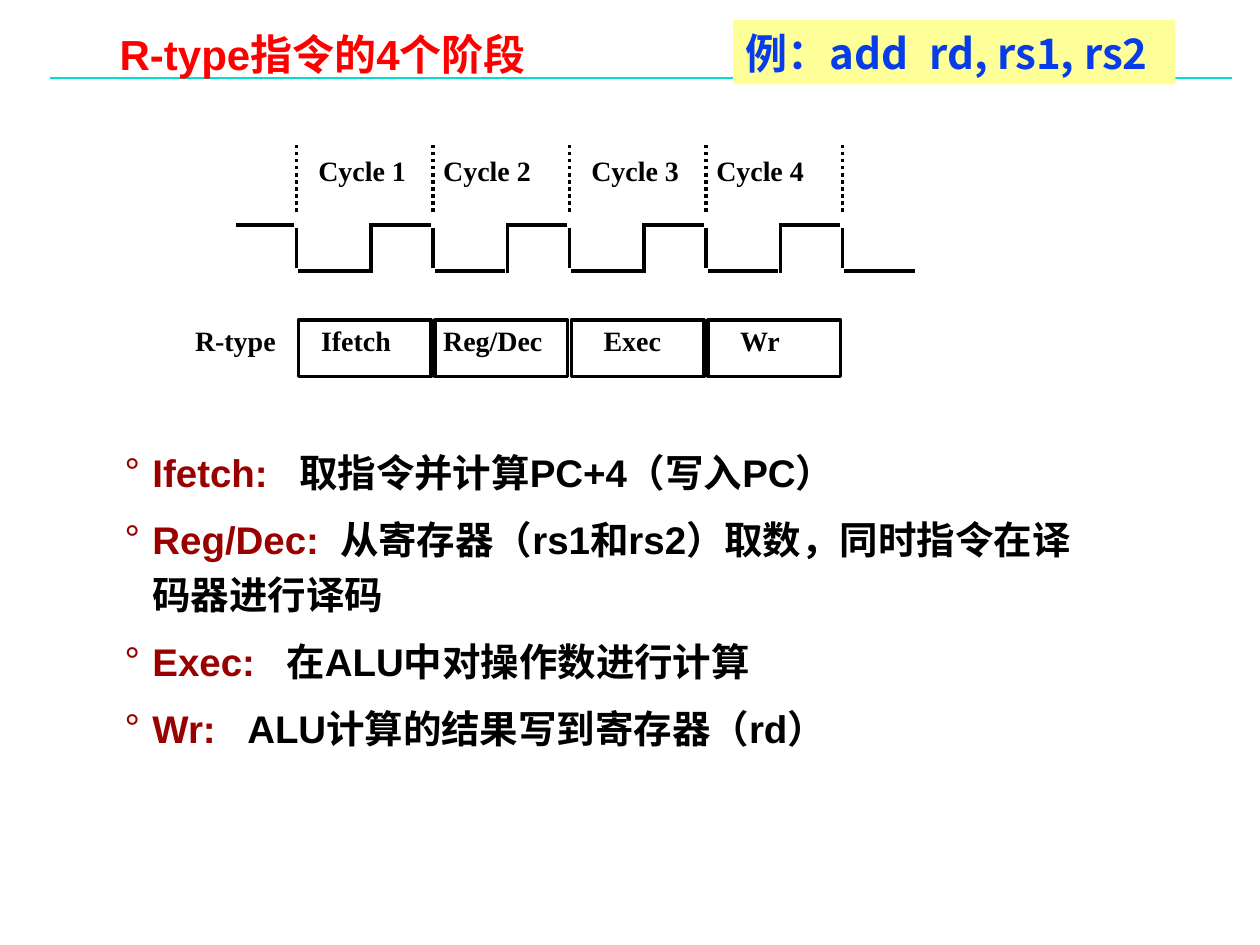
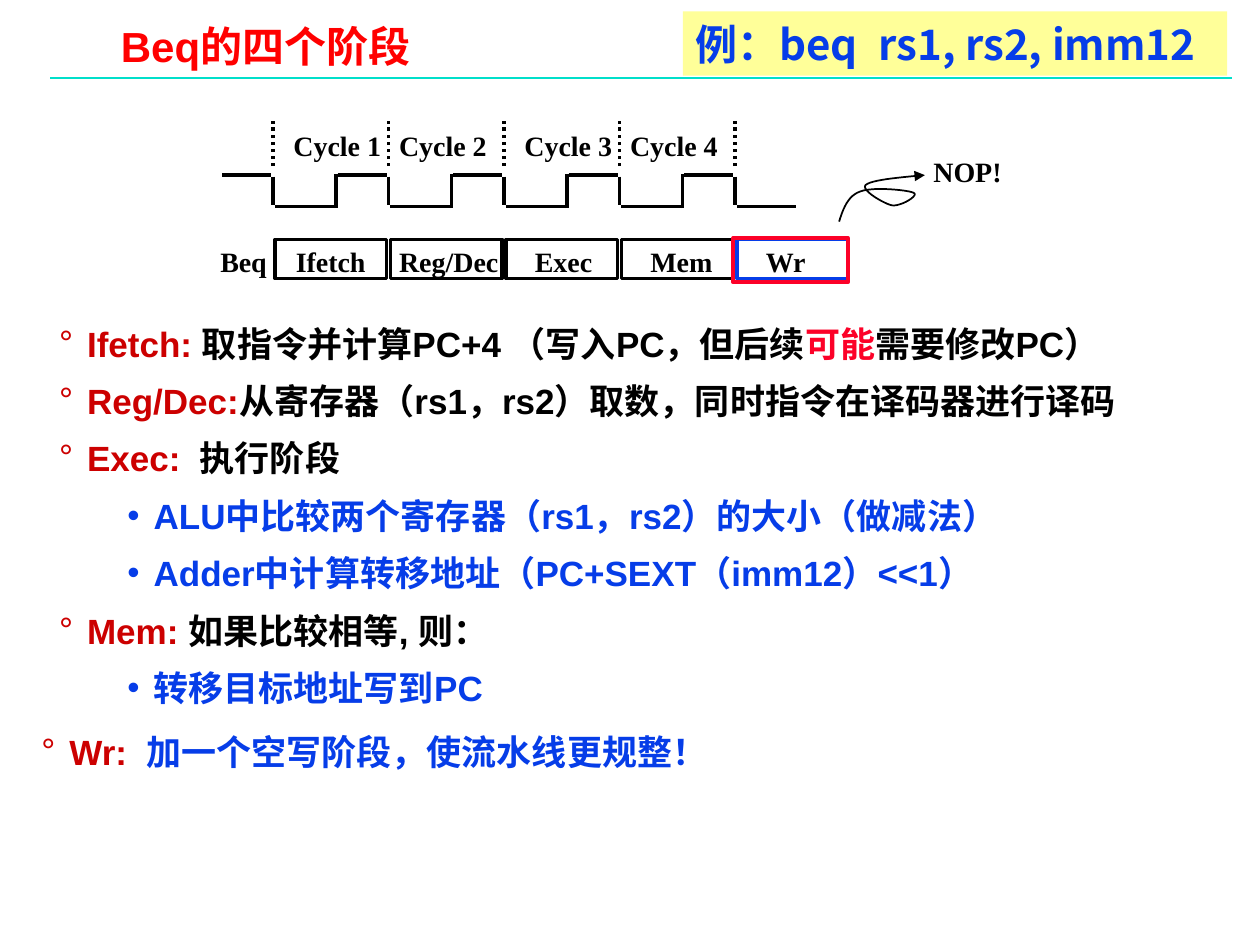
"""Build two slides on the clock cycles of the R-type and Beq instructions."""
from dataclasses import dataclass

from lxml import etree
from pptx import Presentation
from pptx.dml.color import RGBColor
from pptx.enum import dml, shapes, text
from pptx.oxml import ns
from pptx.util import Pt

BLACK = RGBColor(0x00, 0x00, 0x00)
RED = RGBColor(0xFF, 0x00, 0x00)
MAROON = RGBColor(0x99, 0x00, 0x00)
CRIMSON = RGBColor(0xCC, 0x00, 0x00)
SCARLET = RGBColor(0xFC, 0x01, 0x28)
BLUE = RGBColor(0x06, 0x3D, 0xE8)
TEAL = RGBColor(0x00, 0xDF, 0xCA)
YELLOW = RGBColor(0xFF, 0xFF, 0x99)

SANS, SERIF, CJK = "Arial", "Times New Roman", "Noto Sans CJK SC"
TIGHT, ROOMY = (5, 2.2), (7.2, 3.6)
SPACE_WIDTH = 0.27
BULLETS = {0: ("°", 16, -16), 1: ("•", 54, -15)}
CYCLE_SHIFTS = (0.07, -0.015, 0.07, -0.015)
STAGE_SHIFTS = (0.09, -0.015, 0.16, 0.16, 0.16)


@dataclass
class Timing:
    """Places of a clock diagram, in points."""
    left: float
    pitch: float
    dots_top: float
    dots_bottom: float
    high: float
    low: float
    overshoot: float
    cycle_top: float
    box_top: float
    box_height: float
    stage_top: float
    name_left: float


def add_child(parent, tag, **attributes):
    """Append a drawing element to a parent element."""
    return etree.SubElement(parent, ns.qn(tag), attributes)


def add_line(page, start, end, colour=BLACK, width=2, dotted=False):
    """Draw a straight line between two points."""
    line = page.shapes.add_connector(
        shapes.MSO_CONNECTOR.STRAIGHT, *(Pt(value) for value in (*start, *end)))
    line.line.color.rgb = colour
    line.line.width = Pt(width)
    if dotted:
        line.line.dash_style = dml.MSO_LINE.ROUND_DOT
    add_child(line._element.spPr, "a:effectLst")


def add_rect(page, place, fill=None, outline=None, width=2):
    """Draw a rectangle with an optional fill and outline."""
    box = page.shapes.add_shape(
        shapes.MSO_SHAPE.RECTANGLE, *(Pt(value) for value in place))
    box.shadow.inherit = False
    if fill is None:
        box.fill.background()
    else:
        box.fill.solid()
        box.fill.fore_color.rgb = fill
    if outline is None:
        box.line.fill.background()
    else:
        box.line.color.rgb = outline
        box.line.width = Pt(width)
    return box


def style_run(run, size, font, colour):
    """Give a run its bold font, size and colour."""
    run.font.name = font
    run.font.size = Pt(size)
    run.font.bold = True
    run.font.color.rgb = colour
    add_child(run.font._element, "a:ea", typeface=font)


def write_spans(para, spans, size, font):
    """Write (text, colour, gap) spans; a gap counts space widths."""
    for words, colour, gap in spans:
        span = para.add_run()
        span.text = words
        style_run(span, size, font, colour)
        if gap:
            space = para.add_run()
            space.text = " "
            style_run(space, size, font, colour)
            extra = round((gap - 1) * SPACE_WIDTH * size * 100)
            space.font._element.set("spc", str(extra))


def set_frame(frame, insets, wrap=True):
    """Set the insets and wrapping of a text frame."""
    frame.margin_left = frame.margin_right = Pt(insets[0])
    frame.margin_top = frame.margin_bottom = Pt(insets[1])
    frame.word_wrap = wrap


def add_text(page, place, insets=ROOMY):
    """Add an empty text box and return its frame."""
    box = page.shapes.add_textbox(*(Pt(value) for value in place))
    set_frame(box.text_frame, insets)
    return box.text_frame


def add_label(page, left, top, words):
    """Add a short diagram label."""
    frame = add_text(page, (left, top, 80, 26))
    frame.text = words
    style_run(frame.paragraphs[0].runs[0], 16, SERIF, BLACK)


def add_heading(page, title, title_place, example, example_place):
    """Add the rule, the title and the yellow example box."""
    add_line(page, (28.8, 44.6), (704.2, 44.6), TEAL, 1)
    para = add_text(page, title_place, TIGHT).paragraphs[0]
    para.line_spacing = 0.87
    write_spans(para, [(title, RED, 0)], 24, SANS)
    box = add_rect(page, example_place, YELLOW)
    set_frame(box.text_frame, ROOMY, wrap=False)
    box.text_frame.vertical_anchor = text.MSO_ANCHOR.MIDDLE
    para = box.text_frame.paragraphs[0]
    para.alignment = text.PP_ALIGN.LEFT
    operation, operands = example
    write_spans(para, [(operation, BLUE, 2), (operands, BLUE, 0)], 24, CJK)


def add_bullets(page, place, items, size, line_spacing=1.2, before=0):
    """Add bulleted paragraphs given as (level, spans)."""
    frame = add_text(page, place, TIGHT)
    for index, (level, spans) in enumerate(items):
        para = frame.add_paragraph() if index else frame.paragraphs[0]
        para.level = level
        para.line_spacing = line_spacing
        para.space_before = Pt(before)
        sign, margin, indent = BULLETS[level]
        properties = para._p.get_or_add_pPr()
        properties.set("marL", str(Pt(margin)))
        properties.set("indent", str(Pt(indent)))
        add_child(properties, "a:buFont", typeface=SANS)
        add_child(properties, "a:buChar", char=sign)
        write_spans(para, spans, size, SANS)


def add_clock(page, timing):
    """Draw the clock wave, its dotted edges and the cycle labels."""
    high, low, over = timing.high, timing.low, timing.overshoot

    def at(cycle):
        return timing.left + cycle * timing.pitch

    for cycle in range(-1, 5):
        if cycle >= 0:
            edge = at(cycle)
            add_line(page, (edge, timing.dots_bottom), (edge, timing.dots_top), dotted=True)
            add_line(page, (edge, high + over), (edge, low - over))
            add_line(page, (at(cycle + 0.015), low), (at(cycle + 0.53), low))
        if 0 <= cycle < 4:
            rise = at(cycle + 0.545)
            add_line(page, (rise, low + over), (rise, high - over))
        if cycle < 4:
            add_line(page, (at(cycle + 0.56), high), (at(cycle + 0.985), high))
    for cycle, shift in enumerate(CYCLE_SHIFTS):
        add_label(page, at(cycle + shift), timing.cycle_top, f"Cycle {cycle + 1}")


def add_stages(page, timing, name, stages):
    """Draw the instruction's name and its row of stage boxes."""
    add_label(page, timing.name_left, timing.stage_top, name)
    for index, (stage, shift) in enumerate(zip(stages, STAGE_SHIFTS)):
        left = timing.left + index * timing.pitch
        outline = BLUE if index == 4 else BLACK
        add_rect(page, (left + 1.2, timing.box_top, timing.pitch - 2.2, timing.box_height),
                 outline=outline)
        add_label(page, left + shift * timing.pitch, timing.stage_top, stage)


def curve_points(start, curves, steps=12):
    """Return points along a chain of cubic curves."""
    points = [start]
    for first, second, end in curves:
        origin = points[-1]
        for step in range(1, steps + 1):
            t = step / steps
            weights = ((1 - t) ** 3, 3 * t * (1 - t) ** 2, 3 * t * t * (1 - t), t ** 3)
            points.append(tuple(
                sum(weight * value for weight, value in zip(weights, axis))
                for axis in zip(origin, first, second, end)))
    return points


def add_curved_arrow(page, start, curves):
    """Draw a thin curved line that ends in an arrowhead."""
    points = [(Pt(x), Pt(y)) for x, y in curve_points(start, curves)]
    builder = page.shapes.build_freeform(*points[0])
    builder.add_line_segments(points[1:], close=False)
    arrow = builder.convert_to_shape()
    arrow.shadow.inherit = False
    arrow.fill.background()
    arrow.line.color.rgb = BLACK
    arrow.line.width = Pt(1)
    add_child(arrow.line._get_or_add_ln(), "a:tailEnd", type="triangle")


def build_r_type(page):
    """Build the slide on R-type instructions."""
    add_heading(page, "R-type指令的4个阶段", (63.4, 18, 421, 28.8),
                ("例：add", "rd, rs1, rs2"), (419, 11.5, 252.7, 36.7))
    timing = Timing(left=169.4, pitch=78, dots_top=82.8, dots_bottom=121, high=128.7,
                    low=154.8, overshoot=1.4, cycle_top=84.2, box_top=182.9,
                    box_height=32.4, stage_top=181.4, name_left=104.4)
    add_clock(page, timing)
    add_stages(page, timing, "R-type", ("Ifetch", "Reg/Dec", "Exec", "Wr"))
    notes = (
        ("Ifetch:", 3, "取指令并计算PC+4（写入PC）"),
        ("Reg/Dec:", 2, "从寄存器（rs1和rs2）取数，同时指令在译码器进行译码"),
        ("Exec:", 3, "在ALU中对操作数进行计算"),
        ("Wr:", 3, "ALU计算的结果写到寄存器（rd）"),
    )
    items = [(0, [(stage, MAROON, gap), (note, BLACK, 0)]) for stage, gap, note in notes]
    add_bullets(page, (66.2, 249.1, 563.8, 188), items, 22, before=6.6)


def build_beq(page):
    """Build the slide on the Beq instruction."""
    add_heading(page, "Beq的四个阶段", (64.1, 13.7, 373.7, 28.8),
                ("例：beq", "rs1, rs2, imm12"), (390.2, 6.5, 311, 36.7))
    timing = Timing(left=156, pitch=66, dots_top=69.1, dots_bottom=95, high=100.1,
                    low=118.1, overshoot=0.8, cycle_top=69.8, box_top=136.8,
                    box_height=22.3, stage_top=136.1, name_left=118.8)
    add_clock(page, timing)
    add_stages(page, timing, "Beq", ("Ifetch", "Reg/Dec", "Exec", "Mem", "Wr"))
    add_rect(page, (419, 136.1, 65.5, 25.2), outline=SCARLET, width=2.25)
    add_curved_arrow(page, (479.5, 126.7), (
        ((481.7, 119.5), (484.6, 111.6), (491.8, 109.4)),
        ((499, 106.6), (519.1, 108.7), (522, 110.2)),
        ((525.6, 111.6), (514.8, 118.1), (509.8, 117.4)),
        ((505.4, 116.6), (491.8, 108.7), (494.6, 105.8)),
        ((497.5, 103), (512.6, 101.5), (528.5, 100.1))))
    add_label(page, 526.3, 85, "NOP!")
    items = [
        (0, [("Ifetch:", CRIMSON, 1), ("取指令并计算PC+4 （写入PC，但后续", BLACK, 0),
             ("可能", SCARLET, 0), ("需要修改PC）", BLACK, 0)]),
        (0, [("Reg/Dec:", CRIMSON, 0),
             ("从寄存器（rs1，rs2）取数，同时指令在译码器进行译码", BLACK, 0)]),
        (0, [("Exec:", CRIMSON, 2), ("执行阶段", BLACK, 0)]),
        (1, [("ALU中比较两个寄存器（rs1，rs2）的大小（做减法）", BLUE, 0)]),
        (1, [("Adder中计算转移地址（PC+SEXT（imm12）<<1）", BLUE, 0)]),
        (0, [("Mem:", CRIMSON, 1), ("如果比较相等, 则：", BLACK, 0)]),
        (1, [("转移目标地址写到PC", BLUE, 0)]),
    ]
    add_bullets(page, (28.8, 177.1, 645.1, 239.8), items, 20, before=4)
    final = [(0, [("Wr:", CRIMSON, 2), ("加一个空写阶段，使流水线更规整！", BLUE, 0)])]
    add_bullets(page, (18.7, 414, 414.7, 27.4), final, 20, line_spacing=1.05)


def main():
    """Build and save the deck."""
    deck = Presentation()
    deck.slide_width, deck.slide_height = Pt(720), Pt(540)
    for build in (build_r_type, build_beq):
        build(deck.slides.add_slide(deck.slide_layouts[6]))
    deck.save("out.pptx")


if __name__ == "__main__":
    main()
